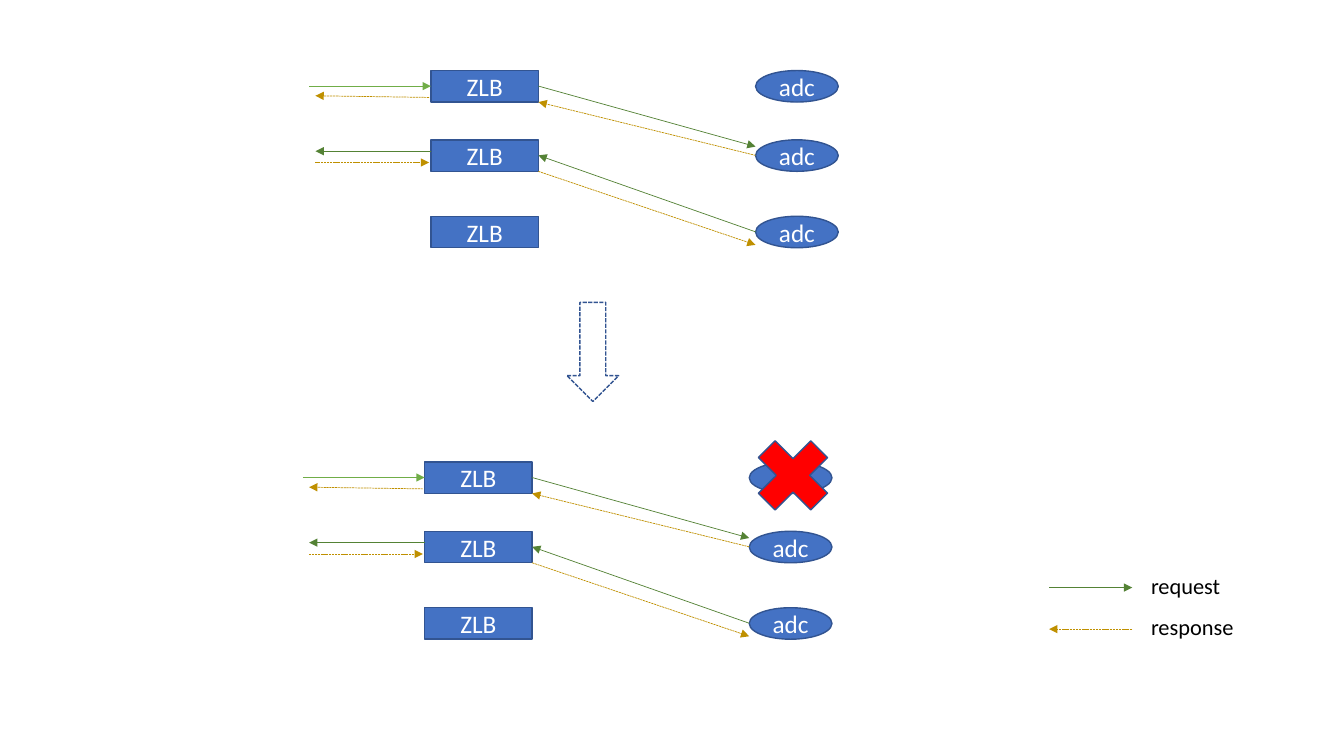
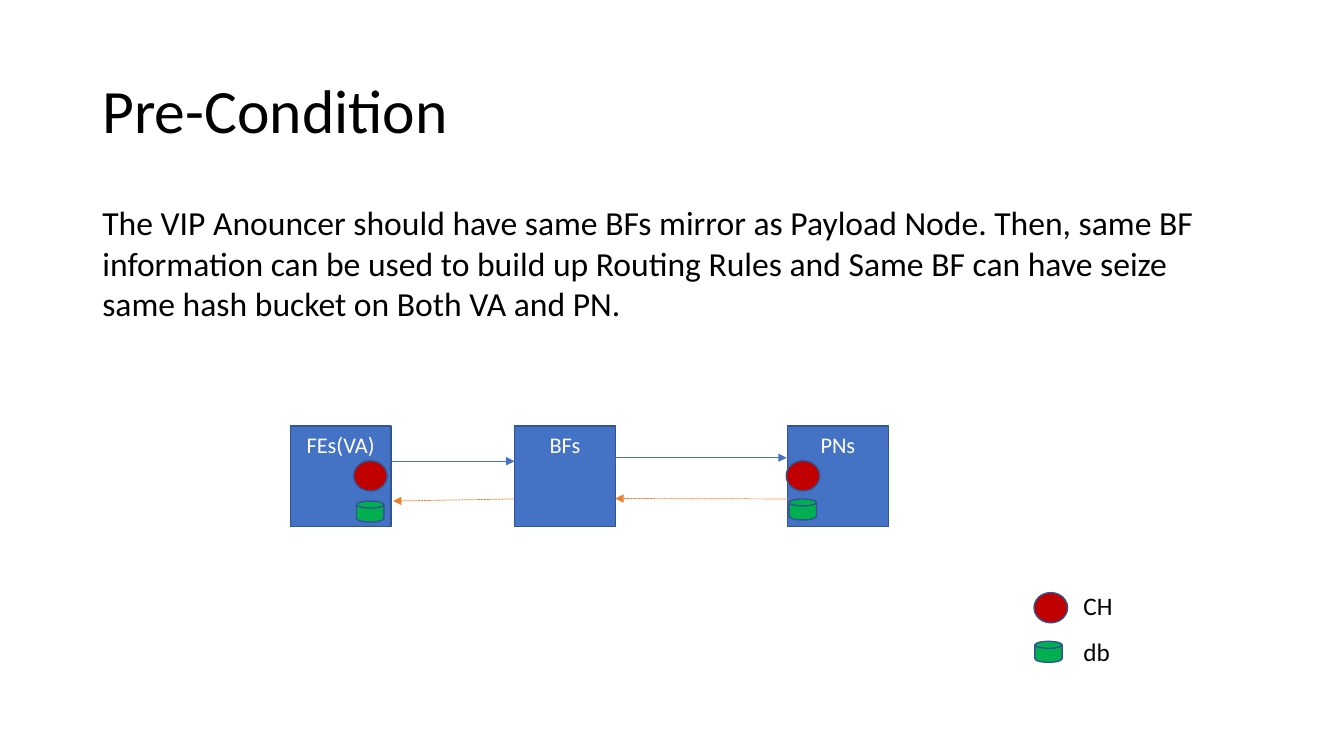
from lxml import etree
from pptx import Presentation
from pptx.dml.color import RGBColor
from pptx.enum.dml import MSO_LINE
from pptx.enum.shapes import MSO_CONNECTOR, MSO_SHAPE as Preset
from pptx.enum.text import MSO_ANCHOR as Anchor, PP_ALIGN as Align
from pptx.oxml.ns import qn
from pptx.util import Inches, Pt

WIDTH, HEIGHT = Inches(13.33), Inches(7.5)
COLUMNS, ROWS = 160, 90
FONT = "Calibri"
WHITE, BLACK = "FFFFFF", "000000"
BLUE, OUTLINE = "4472C4", "325491"
GREEN, LIGHT_GREEN, GOLD, ORANGE = "548235", "70AD47", "BF9000", "ED7D31"
RED, DARK_RED, DISK_GREEN = "FF0000", "C00000", "00B050"
TITLE_ONLY, BLANK = 5, 6

NODE_ROWS = (0, 8.25, 17.35)
NODE_HEIGHT = 3.75
ZLB_WIDTH, ADC_WIDTH = 12.8, 9.85
ADC_LEFT = 38.65
FLOWS = (
    ((ZLB_WIDTH, 1.85), (ADC_LEFT, 9.05), GREEN),
    ((-14.5, 1.85), (0, 1.85), LIGHT_GREEN),
    ((ADC_LEFT, 10.1), (ZLB_WIDTH, NODE_HEIGHT), GOLD),
    ((-0.2, 3.2), (-13.75, 3), GOLD),
    ((ADC_LEFT, 19.2), (ZLB_WIDTH, 10.1), GREEN),
    ((0, 9.6), (-13.75, 9.6), GREEN),
    ((-13.75, 10.95), (-0.2, 10.95), GOLD),
    ((ZLB_WIDTH, 12), (ADC_LEFT, 20.75), GOLD),
)


def color(value):
    return RGBColor.from_string(value)


def across(columns):
    return int(WIDTH * columns / COLUMNS)


def down(rows):
    return int(HEIGHT * rows / ROWS)


def area(left, top, width, height):
    return across(left), down(top), across(width), down(height)


def write(shape, text, size=18, ink=BLACK, align=Align.LEFT,
          anchor=Anchor.TOP, spacing=1.0):
    frame = shape.text_frame
    frame.word_wrap = True
    frame.vertical_anchor = anchor
    paragraph = frame.paragraphs[0]
    paragraph.alignment = align
    paragraph.line_spacing = spacing
    run = paragraph.add_run()
    run.text = text
    run.font.name = FONT
    run.font.size = Pt(size)
    run.font.color.rgb = color(ink)


def add_label(slide, text, box, **text_format):
    write(slide.shapes.add_textbox(*area(*box)), text, **text_format)


def add_box(slide, preset, box, fill=BLUE, dashed=False):
    shape = slide.shapes.add_shape(preset, *area(*box))
    shape.shadow.inherit = False
    if fill:
        shape.fill.solid()
        shape.fill.fore_color.rgb = color(fill)
    else:
        shape.fill.background()
    shape.line.color.rgb = color(OUTLINE)
    shape.line.width = Pt(1)
    if dashed:
        shape.line.dash_style = MSO_LINE.SQUARE_DOT
    return shape


def add_node(slide, preset, box, text, size=18, anchor=Anchor.MIDDLE):
    write(add_box(slide, preset, box), text, size=size, ink=WHITE,
          align=Align.CENTER, anchor=anchor)


def add_arrow(slide, start, end, stroke):
    connector = slide.shapes.add_connector(
        MSO_CONNECTOR.STRAIGHT, across(start[0]), down(start[1]),
        across(end[0]), down(end[1]))
    connector.line.color.rgb = color(stroke)
    connector.line.width = Pt(0.5)
    if stroke in (GOLD, ORANGE):
        connector.line.dash_style = MSO_LINE.SQUARE_DOT
    properties = connector._element.spPr
    etree.SubElement(properties.find(qn("a:ln")), qn("a:tailEnd"), type="triangle")
    etree.SubElement(properties, qn("a:effectLst"))


def add_ball(slide, left, top):
    add_box(slide, Preset.OVAL, (left, top, 4, 3.6), DARK_RED)


def add_disk(slide, left, top):
    add_box(slide, Preset.FLOWCHART_MAGNETIC_DISK, (left, top, 3.25, 2.5), DISK_GREEN)


def add_cluster(slide, left, top):
    for row in NODE_ROWS:
        add_node(slide, Preset.RECTANGLE,
                 (left, top + row, ZLB_WIDTH, NODE_HEIGHT), "ZLB")
        add_node(slide, Preset.OVAL,
                 (left + ADC_LEFT, top + row, ADC_WIDTH, NODE_HEIGHT), "adc")
    for start, end, stroke in FLOWS:
        add_arrow(slide, (left + start[0], top + start[1]),
                  (left + end[0], top + end[1]), stroke)


def build_failover(presentation):
    slide = presentation.slides.add_slide(presentation.slide_layouts[BLANK])
    add_cluster(slide, 51.3, 8.4)
    add_cluster(slide, 50.55, 55)
    near, far = 124.9, 134.8
    for text, row, start, end, stroke in (
            ("request", 69.95, near, far, GREEN),
            ("response", 74.9, far, near, GOLD)):
        add_arrow(slide, (start, row), (end, row), stroke)
        add_label(slide, text, (135.85, row - 2.45, 15, 4.45), size=16)
    add_box(slide, Preset.MATH_MULTIPLY, (88.4, 50.6, 12, 12), RED)
    add_box(slide, Preset.DOWN_ARROW, (67.5, 36, 6.15, 11.8), None, dashed=True)


def build_precondition(presentation):
    slide = presentation.slides.add_slide(presentation.slide_layouts[TITLE_ONLY])
    title = slide.shapes.title
    title.left, title.top, title.width, title.height = area(11, 4.8, 138, 17.4)
    write(title, "Pre-Condition", size=44, anchor=Anchor.MIDDLE, spacing=0.9)
    add_label(slide, "The VIP Anouncer should have same BFs mirror as Payload Node. "
              "Then, same BF information can be used to build up Routing Rules and "
              "Same BF can have seize same hash bucket on Both VA and PN.",
              (11, 23.5, 132.5, 19.45), size=24)
    for text, left in (("FEs(VA)", 34.55), ("BFs", 61.25), ("PNs", 93.75)):
        add_node(slide, Preset.RECTANGLE, (left, 50.7, 12, 12), text,
                 size=16, anchor=Anchor.TOP)
    for left, top in ((42.45, 59.65), (93.95, 59.4), (123.2, 76.35)):
        add_disk(slide, left, top)
    for left, top in ((42.1, 54.85), (93.6, 54.85), (123.1, 70.55)):
        add_ball(slide, left, top)
    for text, top in (("CH", 69.7), ("db", 75.2)):
        add_label(slide, text, (127.8, top, 8, 4.8))
    for start, end, stroke in (
            ((46.55, 54.9), (61.25, 54.9), BLUE),
            ((73.25, 54.5), (93.65, 54.5), BLUE),
            ((93.95, 59.4), (73.25, 59.35), ORANGE),
            ((61.25, 59.4), (46.8, 59.65), ORANGE)):
        add_arrow(slide, start, end, stroke)


def main():
    presentation = Presentation()
    presentation.slide_width, presentation.slide_height = WIDTH, HEIGHT
    build_failover(presentation)
    build_precondition(presentation)
    presentation.save("out.pptx")


if __name__ == "__main__":
    main()
